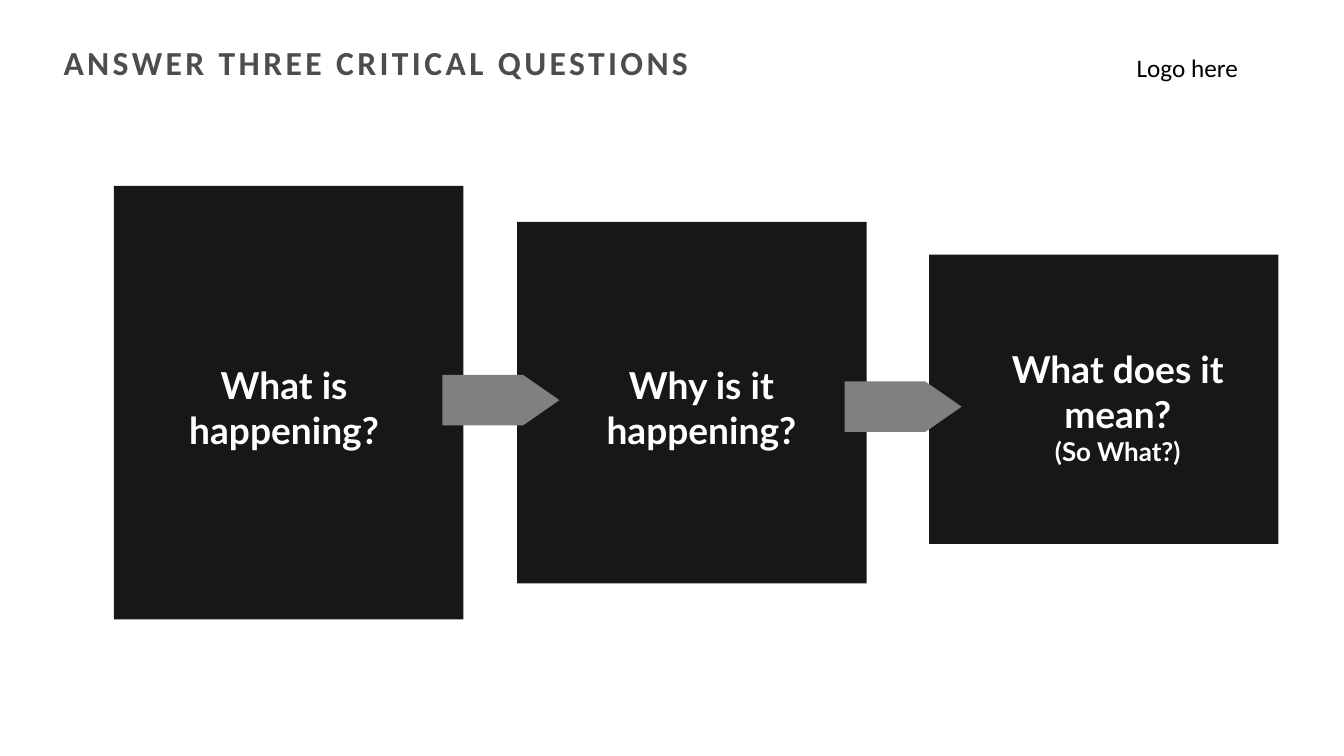
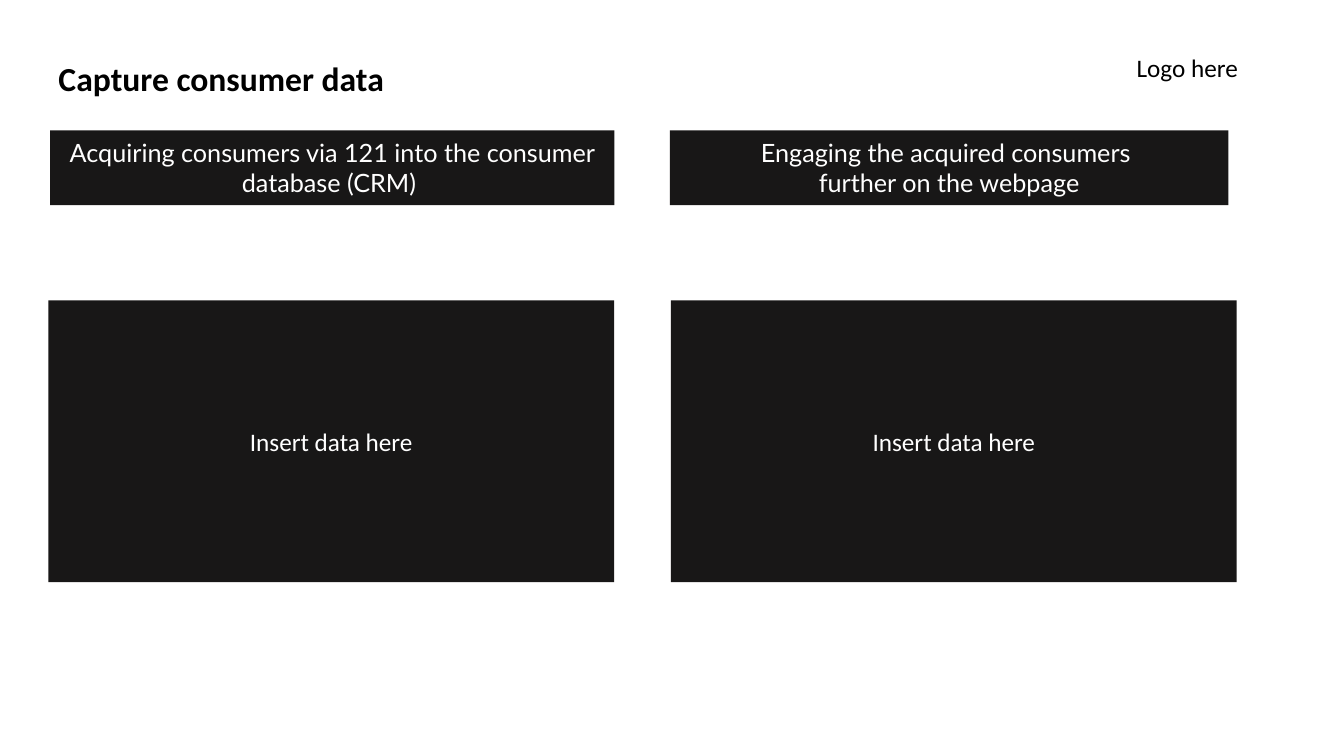
from pptx import Presentation
from pptx.dml.color import RGBColor
from pptx.enum.shapes import MSO_SHAPE
from pptx.enum.text import MSO_ANCHOR, PP_ALIGN
from pptx.util import Inches, Pt

deck = Presentation()
deck.slide_width, deck.slide_height = Inches(13.33), Inches(7.5)
column, row = deck.slide_width / 40, deck.slide_height / 30

INK, GREY, TITLE_GREY, BLACK, WHITE = "181717", "808080", "4D4D4D", "000000", "FFFFFF"
TITLE = {"name": "Calibri", "size": Pt(24), "bold": True}
BODY = {"name": "Calibri", "size": Pt(18), "bold": False}
HEADING = {"name": "Lato", "size": Pt(18), "bold": False}
QUESTION = {"name": "Lato", "size": Pt(26.5), "bold": True}
ASIDE = QUESTION | {"size": Pt(18.5)}
TITLE_ONLY = deck.slide_layouts[5]


def add_block(slide, preset, left, top, width, height, fill):
    block = slide.shapes.add_shape(
        preset, int(left * column), int(top * row), int(width * column), int(height * row))
    block.shadow.inherit = False
    block.fill.solid()
    block.fill.fore_color.rgb = RGBColor.from_string(fill)
    block.line.fill.background()
    return block


def write(shape, lines, color, align=PP_ALIGN.CENTER, anchor=MSO_ANCHOR.MIDDLE):
    frame = shape.text_frame
    frame.word_wrap = True
    frame.vertical_anchor = anchor
    frame.text = "\n".join(text for text, style in lines)
    for paragraph, (text, style) in zip(frame.paragraphs, lines):
        paragraph.alignment = align
        for run in paragraph.runs:
            run.font.color.rgb = RGBColor.from_string(color)
            for key, value in style.items():
                setattr(run.font, key, value)


slides = []
for heading, color, anchor, left, top, width, height in (
    ("ANSWER THREE CRITICAL QUESTIONS", TITLE_GREY, MSO_ANCHOR.TOP, 1.89, 1.68, 21.24, 1.6),
    ("Capture consumer data", BLACK, MSO_ANCHOR.MIDDLE, 1.44, 2.17, 37.05, 2.04),
):
    slide = deck.slides.add_slide(TITLE_ONLY)
    title = slide.shapes.title
    title.left, title.top = int(left * column), int(top * row)
    title.width, title.height = int(width * column), int(height * row)
    write(title, [(heading, TITLE)], color, PP_ALIGN.LEFT, anchor)
    logo_spot = slide.shapes.add_textbox(
        int(33.53 * column), int(1.88 * row), int(6.3 * column), int(1.6 * row))
    write(logo_spot, [("Logo here", BODY)], BLACK, PP_ALIGN.LEFT, MSO_ANCHOR.TOP)
    slides.append(slide)

questions, capture = slides

questions_frame = questions.shapes.title.text_frame
for side in ("left", "top", "right", "bottom"):
    setattr(questions_frame, f"margin_{side}", 0)
questions_frame.paragraphs[0].runs[0].font._element.set("spc", "243")
capture.shapes.title.text_frame.paragraphs[0].line_spacing = 0.9

for step, (lines, left, middle, inset_left, inset_right, drop) in enumerate((
    ([("What is happening?", QUESTION)], 3.39, 15.98, 0.75, 1.02, 0.36),
    ([("Why is it happening?", QUESTION)], 15.39, 15.98, 1.17, 0.6, 0.36),
    ([("What does it mean?", QUESTION), ("(So What?)", ASIDE)], 27.65, 15.84, 1.67, 0.84, 0.6),
)):
    height = 17.2 - 2.86 * step
    card = add_block(questions, MSO_SHAPE.RECTANGLE, left, middle - height / 2, 10.4, height, INK)
    write(card, lines, WHITE)
    card.text_frame.margin_left = int(inset_left * column)
    card.text_frame.margin_right = int(inset_right * column)
    card.text_frame.margin_top = int(drop * row)
    card.text_frame.margin_bottom = 0

for left, top in ((13.17, 14.88), (25.14, 15.14)):
    arrow = add_block(questions, MSO_SHAPE.RIGHT_ARROW, left, top, 3.48, 2, GREY)
    arrow.adjustments[0], arrow.adjustments[1] = 1, 0.72

for heading, heading_left, heading_width, panel_left in (
    ("Acquiring consumers via 121 into the consumer database (CRM) ", 1.49, 16.8, 1.44),
    ("Engaging the acquired consumers \vfurther on the webpage", 19.94, 16.62, 19.97),
):
    band = add_block(capture, MSO_SHAPE.RECTANGLE, heading_left, 5.18, heading_width, 2.96, INK)
    write(band, [(heading, HEADING)], WHITE)
    band.text_frame.margin_left = band.text_frame.margin_right = int(0.39 * column)
    band.text_frame.margin_top = band.text_frame.margin_bottom = int(0.28 * row)
    panel = add_block(capture, MSO_SHAPE.RECTANGLE, panel_left, 11.92, 16.84, 11.18, INK)
    write(panel, [("Insert data here", BODY)], WHITE)

deck.save("out.pptx")
